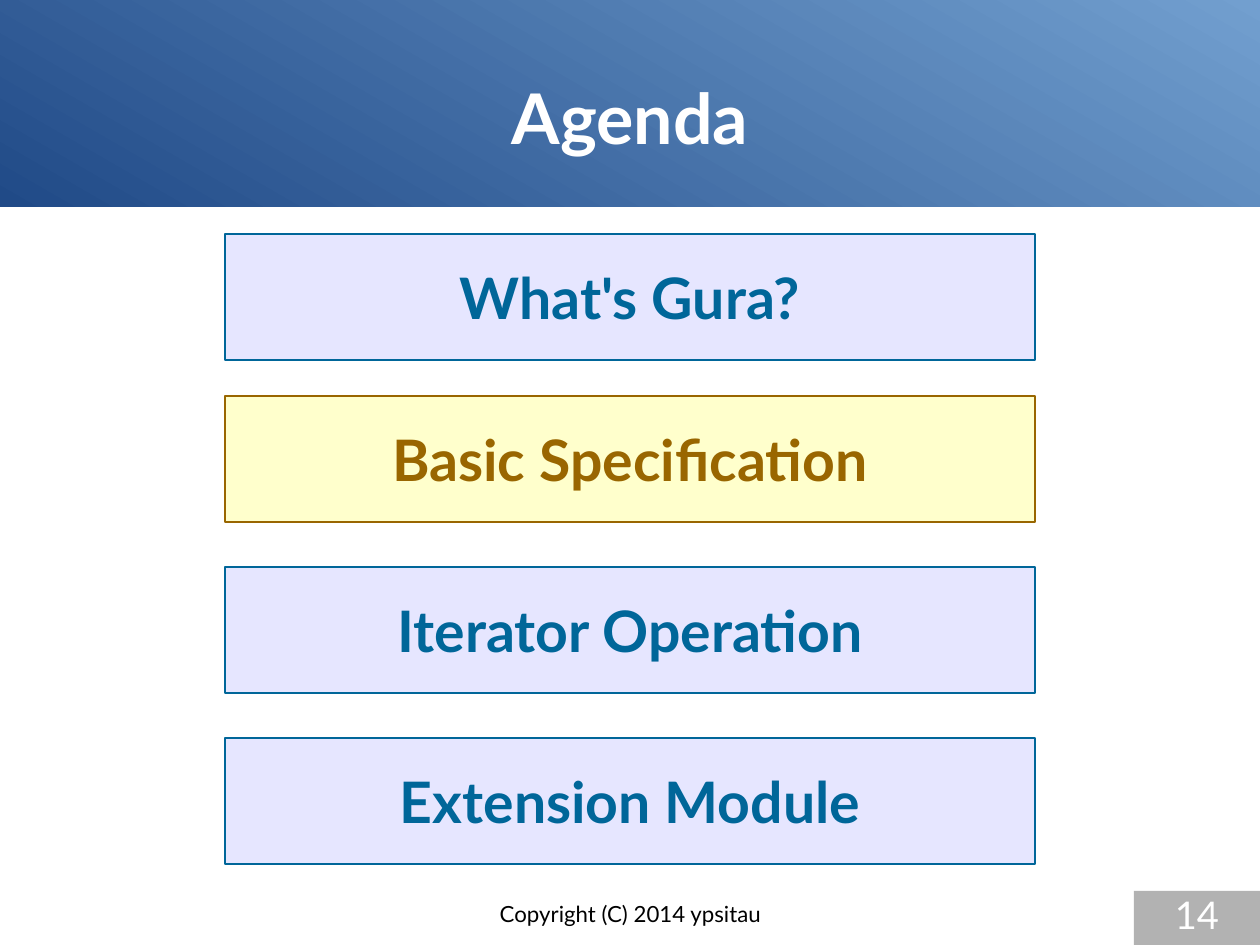
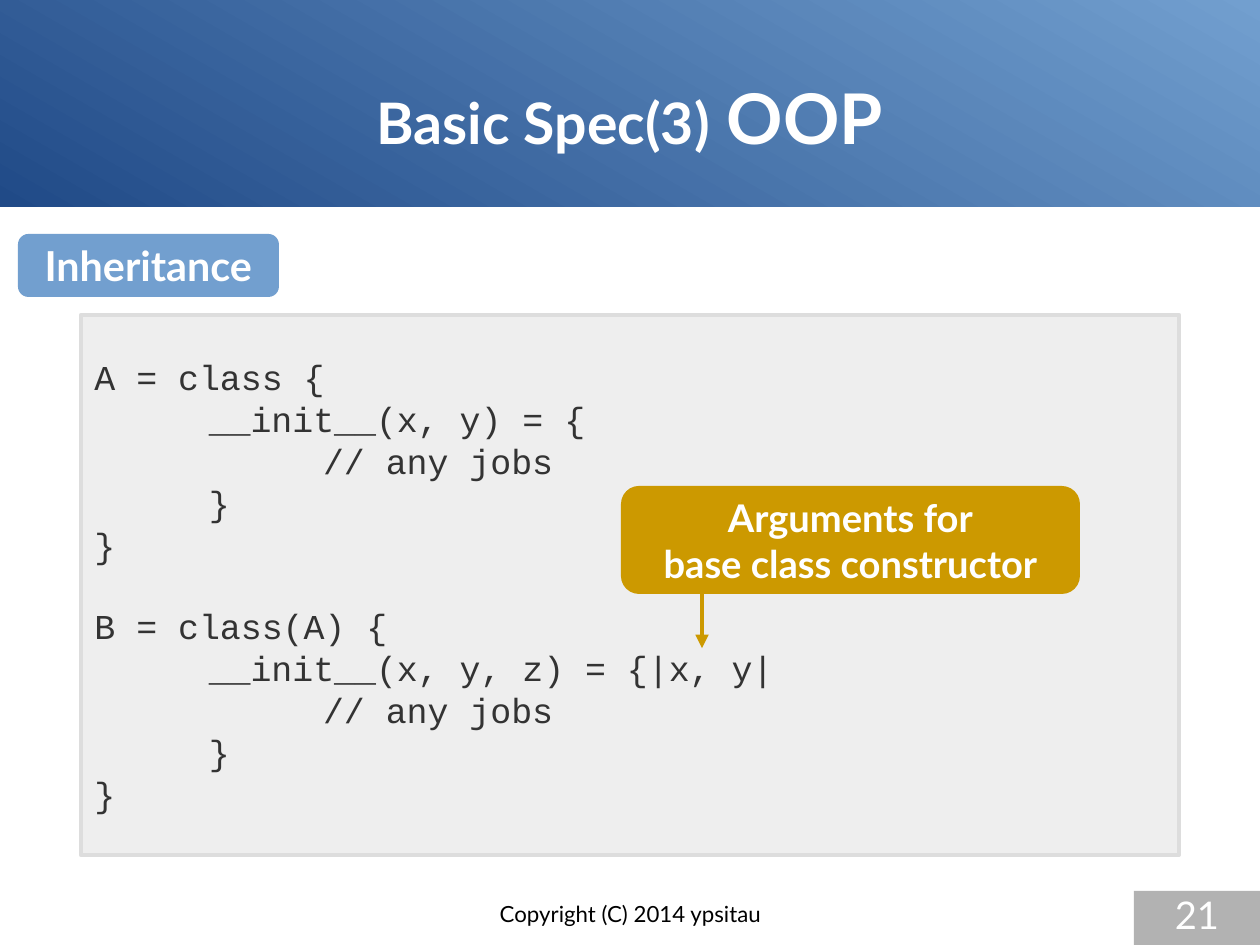
from dataclasses import dataclass

from lxml import etree
from pptx import Presentation, util as u
from pptx.dml.color import RGBColor
from pptx.enum import shapes, text
from pptx.oxml.ns import qn

AGENDA = ["What's Gura?", "Basic Specification", "Iterator Operation", "Extension Module"]
CURRENT = "Basic Specification"
AGENDA_ROWS = [5.2, 8.8, 12.6, 16.4]
CODE_BLOCKS = [
    ["A = class {", "\t__init__(x, y) = {", "\t\t// any jobs", "\t}", "}"],
    ["B = class(A) {", "\t__init__(x, y, z) = {|x, y|", "\t\t// any jobs", "\t}", "}"],
]
CALLOUT = ["Arguments for", "base class constructor"]
COPYRIGHT = "Copyright (C) 2014 ypsitau"

# The slide is a grid of 28 columns by 21 rows, one centimetre each.
COLUMNS, ROWS = 28, 21
BAND = (0, 0, COLUMNS, 4.6)
TITLE = (1.4, 0.84, 25.2, 3.5)
FOOTER = (9.58, 20, 8.86, 1)
PAGE_NUMBER = (25.2, 19.8, 2.8, 1.2)
TAG = (0.4, 5.2, 5.8, 1.4)
CODE_PANEL = (1.8, 7, 24.4, 12)
CODE_TAB, CODE_LEVELS = 2.54, 2
CALLOUT_BOX = (13.8, 10.8, 10.2, 2.4)
ARROW_COLUMN, ARROW_LENGTH = 15.6, 1.2


@dataclass(frozen=True)
class Theme:
    font: str = "Lato"
    code_font: str = "Courier New"
    band_dark: str = "204A87"
    band_light: str = "729FCF"
    white: str = "FFFFFF"
    black: str = "000000"
    grey: str = "B2B2B2"
    item: tuple = ("E6E6FF", "006699")
    current_item: tuple = ("FFFFCC", "996600")
    code_fill: str = "EEEEEE"
    code_line: str = "DDDDDD"
    code_text: str = "333333"
    accent: str = "CC9900"
    title_size: int = 44
    heading_size: int = 36
    tag_size: int = 26
    label_size: int = 24
    code_size: int = 22
    footer_size: int = 14
    code_gap: int = 25
    thin: float = 0.79
    thick: float = 2.83
    corner: float = 0.167


THEME = Theme()


def rgb(value):
    return RGBColor.from_string(value)


def add_box(page, area, fill=None, line=None, width=THEME.thin, rounded=False):
    kind = shapes.MSO_SHAPE.ROUNDED_RECTANGLE if rounded else shapes.MSO_SHAPE.RECTANGLE
    box = page.shapes.add_shape(kind, *map(u.Cm, area))
    box.shadow.inherit = False
    if rounded:
        box.adjustments[0] = THEME.corner
    if fill:
        box.fill.solid()
        box.fill.fore_color.rgb = rgb(fill)
    if line:
        box.line.color.rgb = rgb(line)
        box.line.width = u.Pt(width)
    else:
        box.line.fill.background()
    return box


def write(box, lines, size, color, bold=False, font=THEME.font,
          align=text.PP_ALIGN.CENTER, anchor=text.MSO_ANCHOR.MIDDLE, inset=(0.25, 0.13)):
    """Fill a box; each line is a string or a list of (words, size) runs."""
    frame = box.text_frame
    frame.word_wrap = True
    frame.vertical_anchor = anchor
    frame.margin_left = frame.margin_right = u.Cm(inset[0])
    frame.margin_top = frame.margin_bottom = u.Cm(inset[1])
    for index, line in enumerate(lines):
        para = frame.add_paragraph() if index else frame.paragraphs[0]
        para.alignment = align
        for words, span_size in [(line, size)] if isinstance(line, str) else line:
            span = para.add_run()
            span.text = words
            span.font.name = font
            span.font.size = u.Pt(span_size)
            span.font.bold = bold
            span.font.color.rgb = rgb(color)
    return frame


def add_text(page, area, lines, size, color, **style):
    box = page.shapes.add_textbox(*map(u.Cm, area))
    write(box, lines, size, color, inset=(0, 0), **style)


def add_page(deck, title, number):
    """Add a slide with the shared band, title, copyright line and page number."""
    page = deck.slides.add_slide(deck.slide_layouts[6])
    band = add_box(page, BAND)
    band.fill.gradient()
    band.fill.gradient_angle = 60
    for stop, color in zip(band.fill.gradient_stops, (THEME.band_dark, THEME.band_light)):
        stop.color.rgb = rgb(color)
    add_text(page, TITLE, [title], THEME.title_size, THEME.white, bold=True)
    add_text(page, FOOTER, [COPYRIGHT], THEME.footer_size, THEME.black,
             anchor=text.MSO_ANCHOR.TOP)
    write(add_box(page, PAGE_NUMBER, THEME.grey), [str(number)], THEME.label_size,
          THEME.white, anchor=text.MSO_ANCHOR.TOP, inset=(0, 0))
    return page


def set_code_tabs(para):
    tabs = etree.SubElement(para._p.get_or_add_pPr(), qn("a:tabLst"))
    for level in range(1, CODE_LEVELS + 1):
        etree.SubElement(tabs, qn("a:tab"), pos=str(u.Cm(CODE_TAB * level)), algn="l")


def add_arrow(page, column, top, bottom):
    arrow = page.shapes.add_connector(
        shapes.MSO_CONNECTOR.STRAIGHT, *map(u.Cm, (column, top, column, bottom)))
    arrow.line.color.rgb = rgb(THEME.accent)
    arrow.line.width = u.Pt(THEME.thick)
    etree.SubElement(arrow.line._get_or_add_ln(), qn("a:tailEnd"), type="triangle")
    etree.SubElement(arrow._element.spPr, qn("a:effectLst"))


def build_agenda(deck):
    page = add_page(deck, "Agenda", 14)
    for item, row in zip(AGENDA, AGENDA_ROWS):
        fill, ink = THEME.current_item if item == CURRENT else THEME.item
        box = add_box(page, (5, row, 18, 2.8), fill, ink)
        write(box, [item], THEME.heading_size, ink, bold=True)


def build_inheritance(deck):
    title = [("Basic Spec(3)", THEME.heading_size), (" OOP", THEME.title_size)]
    page = add_page(deck, title, 21)

    panel = add_box(page, CODE_PANEL, THEME.code_fill, THEME.code_line, THEME.thick)
    code = write(panel, sum(CODE_BLOCKS, []), THEME.code_size, THEME.code_text,
                 font=THEME.code_font, align=text.PP_ALIGN.LEFT, inset=(0.3, 0.18))
    for para in code.paragraphs:
        set_code_tabs(para)
    code.paragraphs[len(CODE_BLOCKS[0])].space_before = u.Pt(THEME.code_gap)

    write(add_box(page, TAG, THEME.band_light, rounded=True), ["Inheritance"],
          THEME.tag_size, THEME.white, bold=True)
    write(add_box(page, CALLOUT_BOX, THEME.accent, rounded=True), CALLOUT,
          THEME.label_size, THEME.white, bold=True)
    callout_bottom = CALLOUT_BOX[1] + CALLOUT_BOX[3]
    add_arrow(page, ARROW_COLUMN, callout_bottom, callout_bottom + ARROW_LENGTH)


def main():
    deck = Presentation()
    deck.slide_width, deck.slide_height = u.Cm(COLUMNS), u.Cm(ROWS)
    build_agenda(deck)
    build_inheritance(deck)
    deck.save("out.pptx")


if __name__ == "__main__":
    main()
